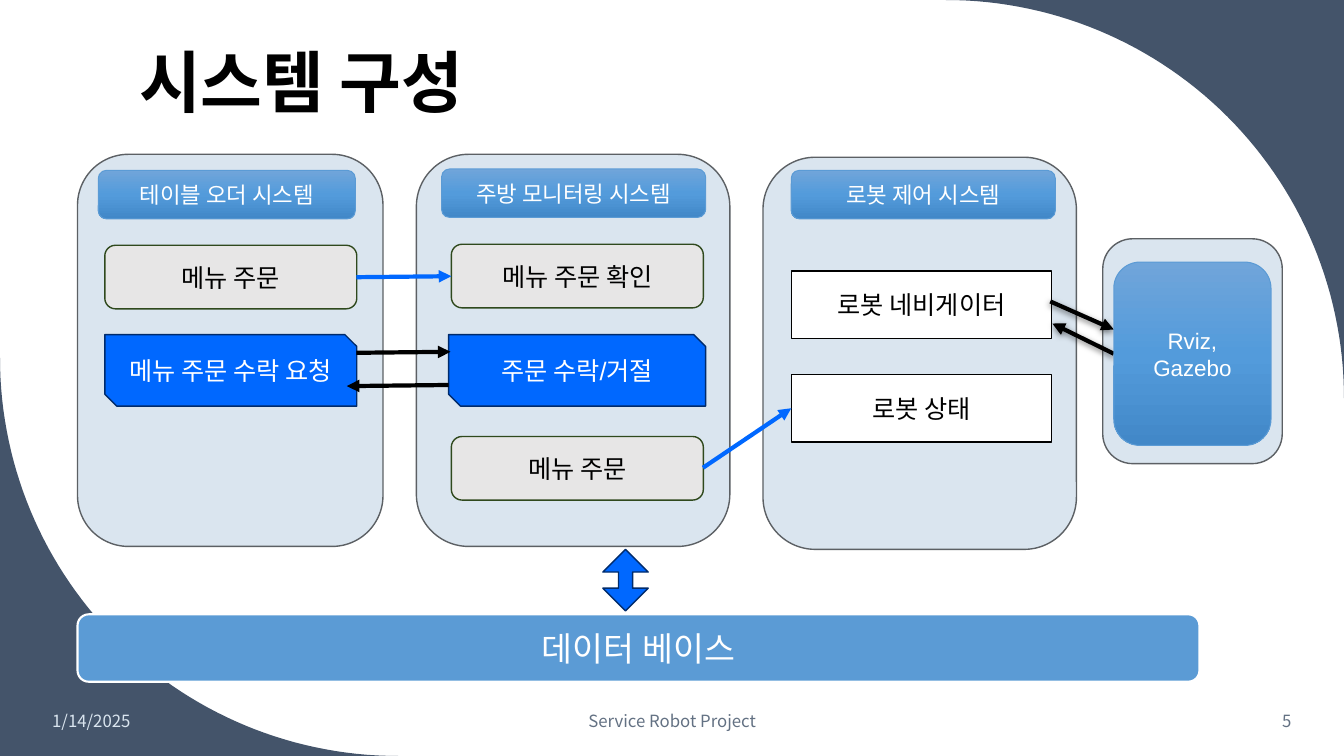
from copy import deepcopy
from dataclasses import dataclass
from math import cos, pi, sin

from lxml import etree
from pptx import Presentation
from pptx.dml.color import RGBColor
from pptx.enum import shapes, text
from pptx.oxml import ns
from pptx import util as u

WIDTH, HEIGHT = 960, 540
CORNER_RADIUS = 284.4
SANS, ARIAL = "Noto Sans CJK KR", "Arial"
COLORS = {
    "slate": "44546A", "panel": "DAE5EF", "panel_edge": "5C6064",
    "black": "000000", "white": "FFFFFF", "muted": "637183",
    "sky": "5B9BD5", "blue": "0068FF", "navy": "002B6B",
    "gray": "E7E6E6", "olive": "2F491D",
    "grad_top": "70A5DA", "grad_mid": "539BDB", "grad_end": "4288C8",
}
GRADIENT = ((0, "grad_top"), (0.5, "grad_mid"), (1, "grad_end"))
KIND = shapes.MSO_SHAPE
LEFT, CENTER, RIGHT = text.PP_ALIGN.LEFT, text.PP_ALIGN.CENTER, text.PP_ALIGN.RIGHT


@dataclass(frozen=True)
class Style:
    kind: shapes.MSO_SHAPE
    fill: str
    edge: str
    edge_width: float = 1
    ink: str = "black"
    size: float = 18
    adjust: tuple[float, ...] = ()


@dataclass(frozen=True)
class Box:
    style: Style
    left: float
    top: float
    width: float
    height: float
    label: str = ""


@dataclass(frozen=True)
class Caption:
    left: float
    top: float
    width: float
    height: float
    label: str
    size: float
    ink: str
    align: text.PP_ALIGN = LEFT
    anchor: text.MSO_ANCHOR = text.MSO_ANCHOR.MIDDLE
    bold: bool = False
    spacing: float = 1


@dataclass(frozen=True)
class Arrow:
    x1: float
    y1: float
    x2: float
    y2: float
    color: str = "black"
    shadow: bool = False


PANEL = Style(KIND.FLOWCHART_ALTERNATE_PROCESS, "panel", "panel_edge")
HEADER = Style(KIND.ROUNDED_RECTANGLE, "gradient", "sky", 0.75, "white", 16, (0.167,))
STEP = Style(KIND.FLOWCHART_ALTERNATE_PROCESS, "gray", "olive")
DECISION = Style(KIND.SNIP_2_DIAG_RECTANGLE, "blue", "navy", 1, "white", 18, (0, 0.167))
ROBOT = Style(KIND.RECTANGLE, "white", "black")
DATABASE = Style(KIND.FLOWCHART_ALTERNATE_PROCESS, "sky", "white", 1.5, "white", 24)
SYNC = Style(KIND.UP_DOWN_ARROW, "blue", "navy", adjust=(0.355, 0.312))

CAPTIONS = (
    Caption(92.2, 27.4, 769.7, 63.4, "시스템 구성", 48, "black",
            anchor=text.MSO_ANCHOR.BOTTOM, bold=True, spacing=0.9),
    Caption(30.2, 500.4, 133.9, 28.8, "1/14/2025", 12, "panel"),
    Caption(318.2, 500.4, 324, 28.8, "Service Robot Project", 12, "muted", CENTER),
    Caption(799.2, 500.4, 130.3, 28.8, "5", 12, "muted", RIGHT),
)
BOXES = (
    Box(PANEL, 787.7, 170.6, 128.2, 160.6),
    Box(PANEL, 55.4, 110.2, 218.2, 280.1),
    Box(PANEL, 297.4, 110.2, 223.9, 280.1),
    Box(PANEL, 545, 112.3, 223.9, 280.1),
    Box(HEADER, 70.2, 121.7, 183.6, 34.6, "테이블 오더 시스템"),
    Box(HEADER, 315.4, 120.7, 188.6, 34.6, "주방 모니터링 시스템"),
    Box(HEADER, 565.2, 121.7, 188.6, 34.6, "로봇 제어 시스템"),
    Box(DATABASE, 55.4, 438.8, 801.4, 48.2, "데이터 베이스"),
    Box(SYNC, 430.6, 392.4, 32.4, 43.9),
    Box(STEP, 74.9, 175.2, 180, 45.4, "메뉴 주문"),
    Box(STEP, 322.4, 174.5, 180, 45.4, "메뉴 주문 확인"),
    Box(STEP, 322.4, 311.8, 180, 45.4, "메뉴 주문"),
    Box(DECISION, 74.9, 239, 180, 51.1, "메뉴 주문 수락 요청"),
    Box(DECISION, 320.4, 239, 183.6, 51.1, "주문 수락/거절"),
    Box(ROBOT, 565.2, 193.7, 186, 48.2, "로봇 네비게이터"),
    Box(ROBOT, 565.2, 267.5, 186, 48.2, "로봇 상태"),
)
ARROWS = (
    Arrow(254.5, 198, 322.4, 197.3, "blue"),
    Arrow(254.5, 252, 321.8, 251.3),
    Arrow(320.4, 275, 247.7, 275.8),
    Arrow(795.6, 252.7, 751.7, 231.1, shadow=True),
    Arrow(750.2, 215.3, 795.6, 235.4, shadow=True),
    Arrow(502.2, 334.1, 565.2, 291.6, "blue"),
)
SIMULATOR = Box(HEADER, 795.6, 187.2, 112.3, 131, "Rviz, Gazebo")


def rgb(name: str) -> RGBColor:
    return RGBColor.from_string(COLORS[name])


def write(frame, label: str, size: float, ink: str, font_name: str,
          align: text.PP_ALIGN, anchor: text.MSO_ANCHOR):
    frame.word_wrap = True
    frame.vertical_anchor = anchor
    paragraph = frame.paragraphs[0]
    paragraph.text = label
    paragraph.alignment = align
    paragraph.font.name = font_name
    paragraph.font.size = u.Pt(size)
    paragraph.font.color.rgb = rgb(ink)
    return paragraph


def draw_corner(slide, center_x: float, center_y: float, start: float,
                corner_x: float, corner_y: float) -> None:
    steps = 60
    angles = [start + pi / 2 * step / steps for step in range(steps + 1)]
    arc = [(u.Pt(center_x + CORNER_RADIUS * cos(angle)),
            u.Pt(center_y + CORNER_RADIUS * sin(angle))) for angle in angles]
    builder = slide.shapes.build_freeform(u.Pt(corner_x), u.Pt(corner_y))
    builder.add_line_segments(arc, close=True)
    corner = builder.convert_to_shape()
    corner.shadow.inherit = False
    corner.fill.solid()
    corner.fill.fore_color.rgb = rgb("slate")
    corner.line.fill.background()


def draw_caption(slide, caption: Caption) -> None:
    area = slide.shapes.add_textbox(u.Pt(caption.left), u.Pt(caption.top),
                                    u.Pt(caption.width), u.Pt(caption.height))
    paragraph = write(area.text_frame, caption.label, caption.size, caption.ink,
                      SANS, caption.align, caption.anchor)
    paragraph.font.bold = caption.bold
    paragraph.line_spacing = caption.spacing


def fill_gradient(shape) -> None:
    shape.fill.gradient()
    shape.fill.gradient_angle = 270
    stops = shape.element.spPr.find(".//" + ns.qn("a:gsLst"))
    stops.insert(1, deepcopy(stops[0]))
    for stop, (position, color) in zip(shape.fill.gradient_stops, GRADIENT):
        stop.position = position
        stop.color.rgb = rgb(color)


def draw_box(slide, box: Box) -> None:
    style = box.style
    shape = slide.shapes.add_shape(style.kind, u.Pt(box.left), u.Pt(box.top),
                                   u.Pt(box.width), u.Pt(box.height))
    shape.shadow.inherit = False
    for index, value in enumerate(style.adjust):
        shape.adjustments[index] = value
    if style.fill == "gradient":
        fill_gradient(shape)
    else:
        shape.fill.solid()
        shape.fill.fore_color.rgb = rgb(style.fill)
    shape.line.color.rgb = rgb(style.edge)
    shape.line.width = u.Pt(style.edge_width)
    if box.label:
        write(shape.text_frame, box.label, style.size, style.ink,
              ARIAL, CENTER, text.MSO_ANCHOR.MIDDLE)


def draw_arrow(slide, arrow: Arrow) -> None:
    connector = slide.shapes.add_connector(
        shapes.MSO_CONNECTOR.STRAIGHT, u.Pt(arrow.x1), u.Pt(arrow.y1),
        u.Pt(arrow.x2), u.Pt(arrow.y2))
    connector.line.color.rgb = rgb(arrow.color)
    connector.line.width = u.Pt(3)
    etree.SubElement(connector.line.fill._xPr, ns.qn("a:tailEnd"), type="triangle")
    effects = etree.SubElement(connector.element.spPr, ns.qn("a:effectLst"))
    if arrow.shadow:
        shadow = etree.SubElement(effects, ns.qn("a:outerShdw"), blurRad=str(u.Pt(4.5)),
                                  dist=str(u.Pt(1.5)), dir="5400000")
        tint = etree.SubElement(shadow, ns.qn("a:srgbClr"), val=COLORS["black"])
        etree.SubElement(tint, ns.qn("a:alpha"), val="50000")


def main() -> None:
    deck = Presentation()
    deck.slide_width, deck.slide_height = u.Pt(WIDTH), u.Pt(HEIGHT)
    slide = deck.slides.add_slide(deck.slide_layouts[6])
    draw_corner(slide, WIDTH - CORNER_RADIUS, CORNER_RADIUS, -pi / 2, WIDTH, 0)
    draw_corner(slide, CORNER_RADIUS, HEIGHT - CORNER_RADIUS, pi / 2, 0, HEIGHT)
    for caption in CAPTIONS:
        draw_caption(slide, caption)
    for box in BOXES:
        draw_box(slide, box)
    for arrow in ARROWS:
        draw_arrow(slide, arrow)
    draw_box(slide, SIMULATOR)
    deck.save("out.pptx")


if __name__ == "__main__":
    main()
